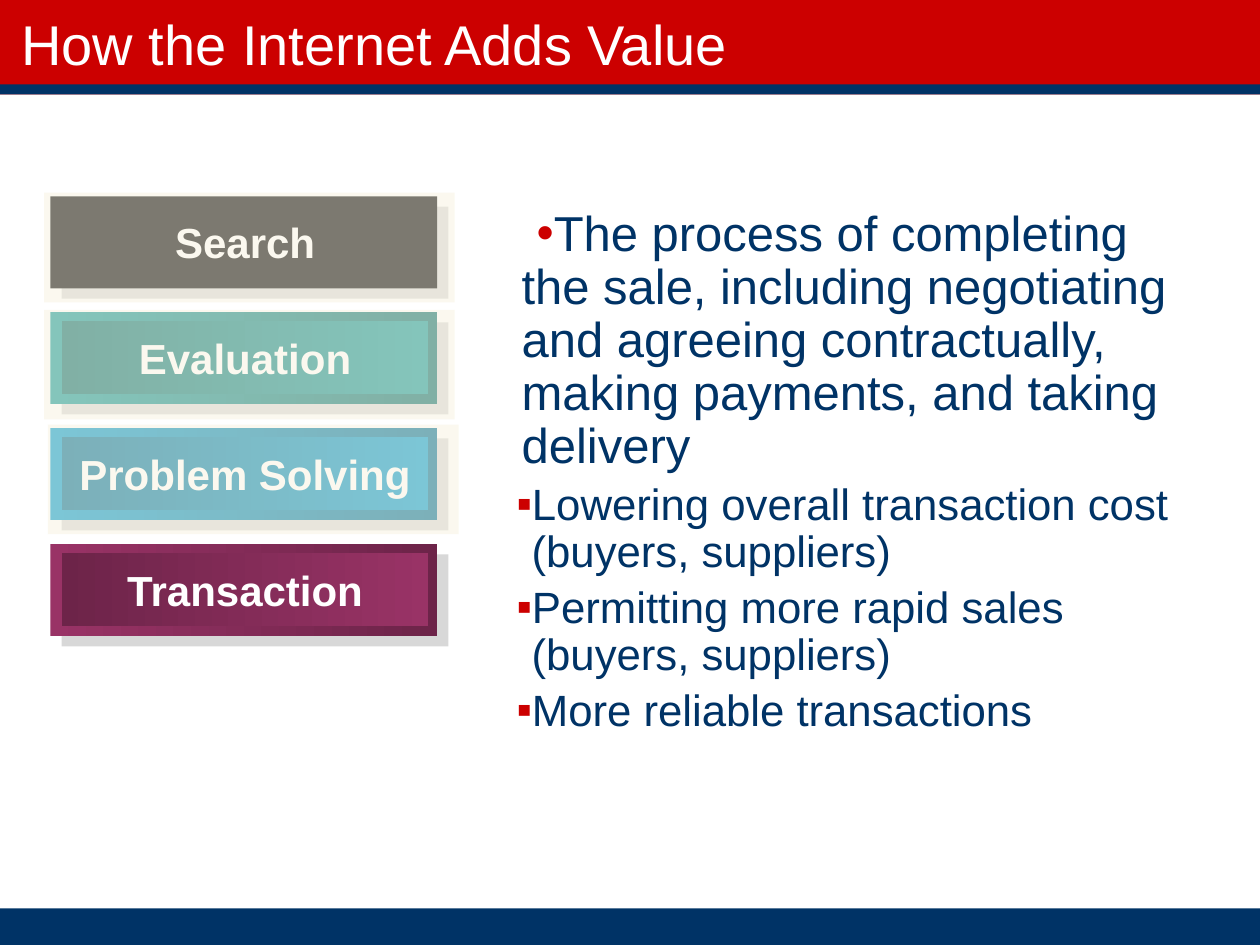
from dataclasses import dataclass

from lxml import etree
from pptx import Presentation
from pptx import util as u
from pptx.dml.color import RGBColor
from pptx.enum import shapes, text
from pptx.oxml import ns

RED = RGBColor(0xCC, 0x00, 0x00)
NAVY = RGBColor(0x00, 0x33, 0x66)
WHITE = RGBColor(0xFF, 0xFF, 0xFF)
BLACK = RGBColor(0x00, 0x00, 0x00)
SHADOW_GRAY = RGBColor(0xB2, 0xB2, 0xB2)
VEIL_CREAM = RGBColor(0xF8, 0xF3, 0xE0)
TEAL = RGBColor(0x10, 0x98, 0x96)
DARK_TEAL = RGBColor(0x0B, 0x6D, 0x6B)
BLUE = RGBColor(0x00, 0x99, 0xCC)
DARK_BLUE = RGBColor(0x00, 0x6D, 0x92)
PLUM = RGBColor(0x99, 0x33, 0x66)
DARK_PLUM = RGBColor(0x6D, 0x24, 0x49)
FONT = "Arial"
BUTTON_TOP = 1.56
BUTTON_STEP = 0.92


@dataclass(frozen=True)
class Button:
    label: str
    light: RGBColor
    dark: RGBColor


@dataclass(frozen=True)
class Veil:
    left: float
    top: float


@dataclass(frozen=True)
class Level:
    size: float
    margin: float
    indent: float
    bullet: str


@dataclass(frozen=True)
class Point:
    words: str
    level: Level


BUTTONS = [
    Button("Search", BLACK, BLACK),
    Button("Evaluation", TEAL, DARK_TEAL),
    Button("Problem Solving", BLUE, DARK_BLUE),
    Button("Transaction", PLUM, DARK_PLUM),
]
VEILS = [Veil(0.35, 1.53), Veil(0.35, 2.46), Veil(0.38, 3.37)]
MAIN = Level(28, 0.48, 0.12, "•")
SUB = Level(25, 0.56, -0.12, "▪")
POINTS = [
    Point(
        "The process of completing the sale, including negotiating and agreeing "
        "contractually, making payments, and taking delivery",
        MAIN,
    ),
    Point("Lowering overall transaction cost (buyers, suppliers)", SUB),
    Point("Permitting more rapid sales (buyers, suppliers)", SUB),
    Point("More reliable transactions", SUB),
]


def add_block(parent, left: float, top: float, width: float, height: float,
              start: RGBColor, end: RGBColor | None = None, opacity: int = 100):
    block = parent.shapes.add_shape(
        shapes.MSO_SHAPE.RECTANGLE,
        u.Inches(left), u.Inches(top), u.Inches(width), u.Inches(height),
    )
    block.shadow.inherit = False
    block.line.fill.background()
    if end is None or end == start:
        block.fill.solid()
        block.fill.fore_color.rgb = start
    else:
        block.fill.gradient()
        block.fill.gradient_angle = 0
        for stop, color in zip(block.fill.gradient_stops, (start, end)):
            stop.color.rgb = color
    if opacity < 100:
        color = block.fill._xPr.find(".//" + ns.qn("a:srgbClr"))
        etree.SubElement(color, ns.qn("a:alpha"), val=str(opacity * 1000))
    return block


def add_span(para, words: str, size: float, color: RGBColor, bold: bool = False) -> None:
    span = para.add_run()
    span.text = words
    span.font.name = FONT
    span.font.size = u.Pt(size)
    span.font.bold = bold
    span.font.color.rgb = color


def add_text_box(page, left: float, top: float, width: float, height: float):
    box = page.shapes.add_textbox(
        u.Inches(left), u.Inches(top), u.Inches(width), u.Inches(height)
    )
    frame = box.text_frame
    frame.word_wrap = True
    frame.margin_left = frame.margin_right = 0
    frame.margin_top = frame.margin_bottom = 0
    return frame


def add_button(page, button: Button, top: float) -> None:
    group = page.shapes.add_group_shape()
    add_block(group, 0.49, top + 0.08, 3.07, 0.73, SHADOW_GRAY, opacity=50)
    add_block(group, 0.4, top, 3.07, 0.73, button.light, button.dark)
    face = add_block(group, 0.49, top + 0.07, 2.91, 0.58, button.dark, button.light)
    frame = face.text_frame
    frame.word_wrap = False
    frame.vertical_anchor = text.MSO_ANCHOR.MIDDLE
    para = frame.paragraphs[0]
    para.alignment = text.PP_ALIGN.CENTER
    add_span(para, button.label, 24, WHITE, bold=True)


def add_point(para, point: Point) -> None:
    level = point.level
    para.line_spacing = 0.9
    para.space_before = u.Pt(level.size * 0.2)
    props = para._p.get_or_add_pPr()
    props.set("marL", str(u.Inches(level.margin)))
    props.set("indent", str(u.Inches(level.indent)))
    color = etree.SubElement(props, ns.qn("a:buClr"))
    etree.SubElement(color, ns.qn("a:srgbClr"), val=str(RED))
    etree.SubElement(props, ns.qn("a:buFont"), typeface=FONT)
    etree.SubElement(props, ns.qn("a:buChar"), char=level.bullet)
    add_span(para, point.words, level.size, NAVY)


def main() -> None:
    deck = Presentation()
    deck.slide_width = u.Inches(10)
    deck.slide_height = u.Inches(7.5)
    page = deck.slides.add_slide(deck.slide_layouts[6])

    add_block(page, 0, 0, 10, 0.75, RED)
    add_block(page, 0, 7.21, 10, 0.29, NAVY)
    add_block(page, 0, 0.67, 10, 0.08, NAVY)

    title = add_text_box(page, 0.17, 0.05, 9.67, 0.58)
    title.vertical_anchor = text.MSO_ANCHOR.MIDDLE
    add_span(title.paragraphs[0], "How the Internet Adds Value", 32, WHITE)

    body = add_text_box(page, 3.66, 1.66, 5.65, 4.96)
    for index, point in enumerate(POINTS):
        add_point(body.add_paragraph() if index else body.paragraphs[0], point)

    for index, button in enumerate(BUTTONS):
        add_button(page, button, BUTTON_TOP + index * BUTTON_STEP)
    for veil in VEILS:
        add_block(page, veil.left, veil.top, 3.26, 0.87, VEIL_CREAM, opacity=50)

    deck.save("out.pptx")


if __name__ == "__main__":
    main()
